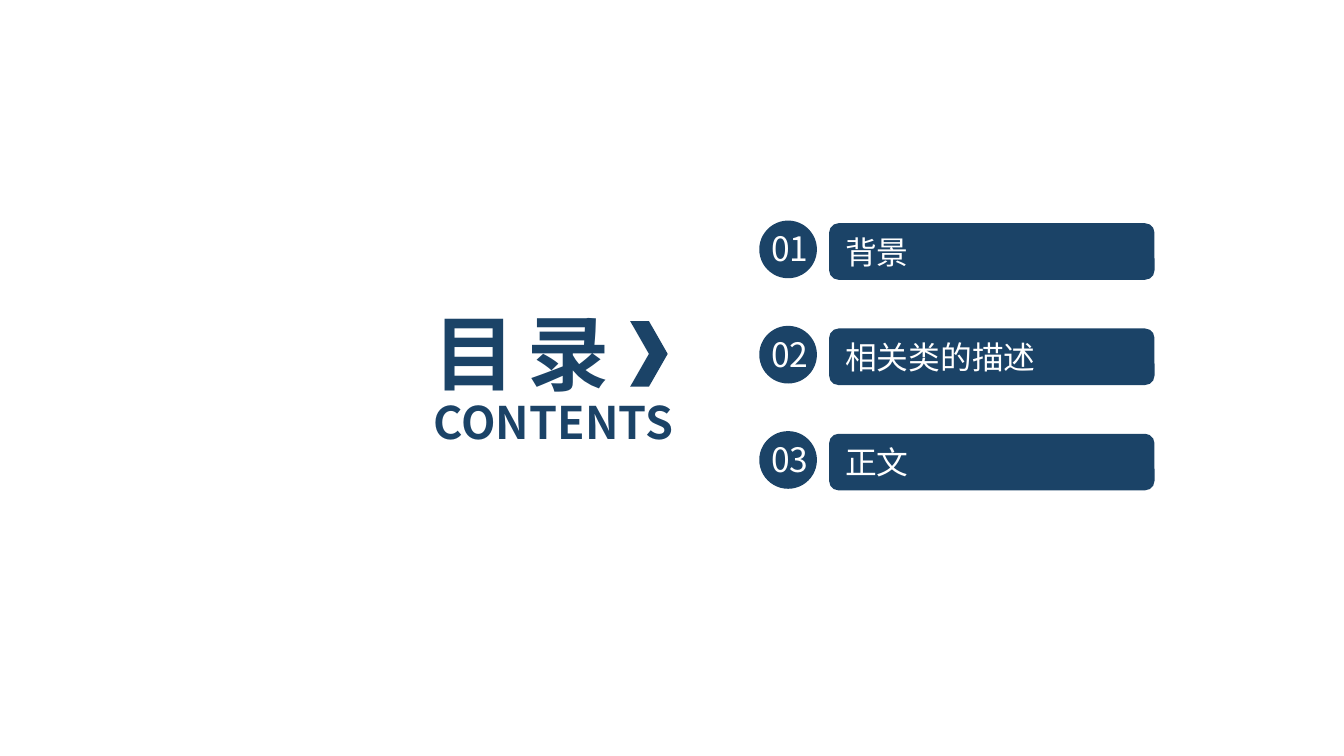
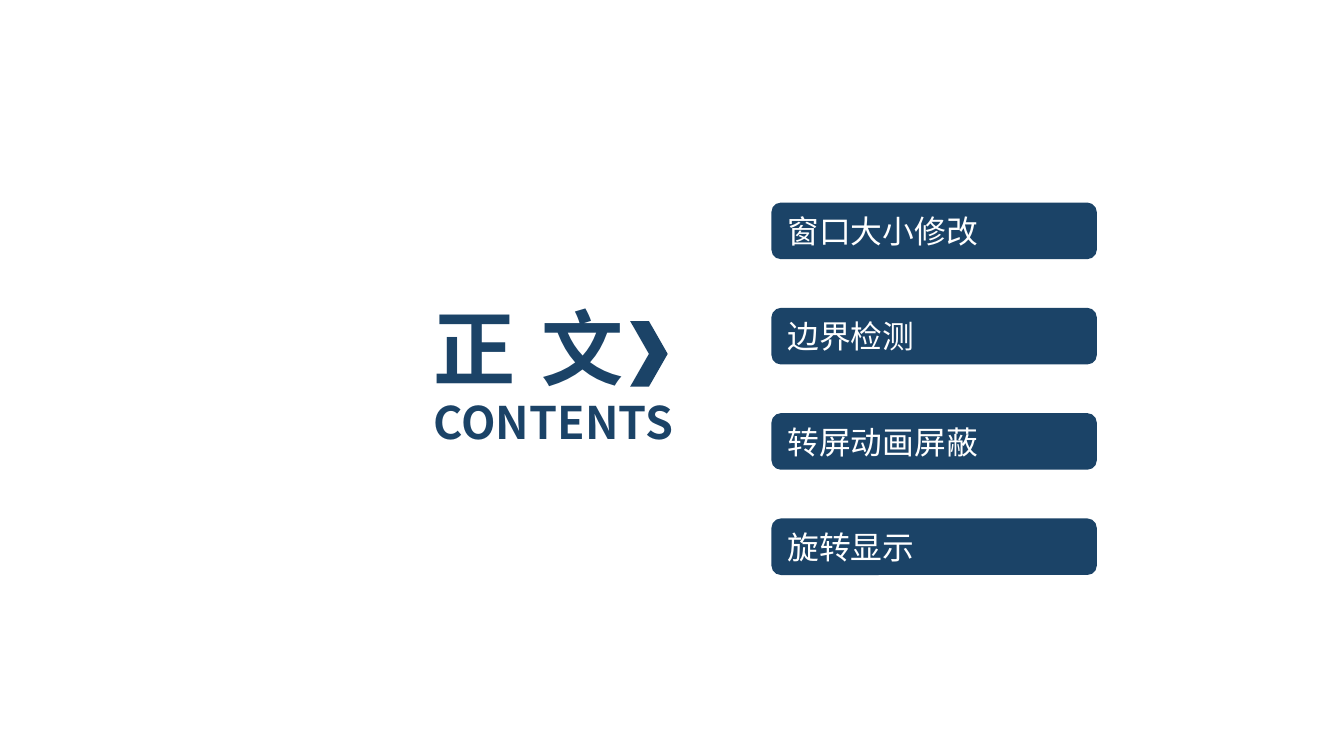
from lxml.etree import SubElement
from pptx import Presentation
from pptx.dml.color import RGBColor
from pptx.enum.shapes import MSO_SHAPE
from pptx.enum.text import MSO_ANCHOR, PP_ALIGN
from pptx.oxml.ns import qn
from pptx.util import Cm, Pt

COLORS = {"navy": "1B4367", "white": "FFFFFF"}
FONT = "Noto Sans CJK SC"

ROW_PITCH = 1.99
BAR_WIDTH, BAR_HEIGHT = 6.15, 1.07
BADGE_SIZE = 1.09
TITLE_LEFT = 7.95


def write_text(shape, text, size, color, bold=False, spacing=0, align=PP_ALIGN.LEFT):
    """Write one run; spacing is the letter spacing in points."""
    frame = shape.text_frame
    frame.word_wrap = True
    frame.vertical_anchor = MSO_ANCHOR.TOP
    paragraph = frame.paragraphs[0]
    paragraph.alignment = align
    run = paragraph.add_run()
    run.text = text
    run.font.size = Pt(size)
    run.font.bold = bold
    run.font.name = FONT
    run.font.color.rgb = RGBColor.from_string(COLORS[color])
    properties = run.font._element
    SubElement(properties, qn("a:ea")).set("typeface", FONT)
    if spacing:
        properties.set("spc", str(spacing * 100))


def add_text(slide, text, left, top, width, height, size, color, **style):
    box = slide.shapes.add_textbox(Cm(left), Cm(top), Cm(width), Cm(height))
    write_text(box, text, size, color, **style)


def add_navy_shape(slide, kind, left, top, width, height):
    shape = slide.shapes.add_shape(kind, Cm(left), Cm(top), Cm(width), Cm(height))
    shape.shadow.inherit = False
    shape.fill.solid()
    shape.fill.fore_color.rgb = RGBColor.from_string(COLORS["navy"])
    shape.line.fill.background()
    return shape


def add_heading(slide, title, top, spacing):
    add_text(slide, title, TITLE_LEFT, top, 5.97, 2.11, 44, "navy",
             bold=True, spacing=spacing)
    add_text(slide, "CONTENTS", TITLE_LEFT, 7.34, 5.87, 1.27, 24, "navy", bold=True)
    add_navy_shape(slide, MSO_SHAPE.CHEVRON, 11.91, 6.07, 0.71, 1.24)


def add_badge(slide, number, left, top):
    add_navy_shape(slide, MSO_SHAPE.OVAL, left, top, BADGE_SIZE, BADGE_SIZE)
    add_text(slide, f"{number:02d}", left - 0.08, top + 0.02, 1.32, 1.02, 18, "white",
             align=PP_ALIGN.CENTER)


def add_entries(slide, entries, left, top, badge_left=None):
    """Stack the entry bars, each with a numbered badge if badge_left is given."""
    for index, entry in enumerate(entries):
        row_top = top + index * ROW_PITCH
        bar = add_navy_shape(slide, MSO_SHAPE.ROUNDED_RECTANGLE,
                             left, row_top, BAR_WIDTH, BAR_HEIGHT)
        write_text(bar, entry, 17, "white")
        if badge_left is not None:
            add_badge(slide, index + 1, badge_left, row_top - 0.05)


def add_slide(presentation):
    slide = presentation.slides.add_slide(presentation.slide_layouts[6])
    slide.background.fill.solid()
    slide.background.fill.fore_color.rgb = RGBColor.from_string(COLORS["white"])
    return slide


def main():
    presentation = Presentation()
    presentation.slide_width = Cm(25.4)
    presentation.slide_height = Cm(14.29)

    contents = add_slide(presentation)
    add_heading(contents, "目 录", top=5.59, spacing=-2)
    add_entries(contents, ["背景", "相关类的描述", "正文"],
                left=15.67, top=4.22, badge_left=14.35)

    body = add_slide(presentation)
    add_heading(body, "正 文", top=5.49, spacing=2)
    add_entries(body, ["窗口大小修改", "边界检测", "转屏动画屏蔽", "旋转显示"],
                left=14.58, top=3.83)

    presentation.save("out.pptx")


if __name__ == "__main__":
    main()
